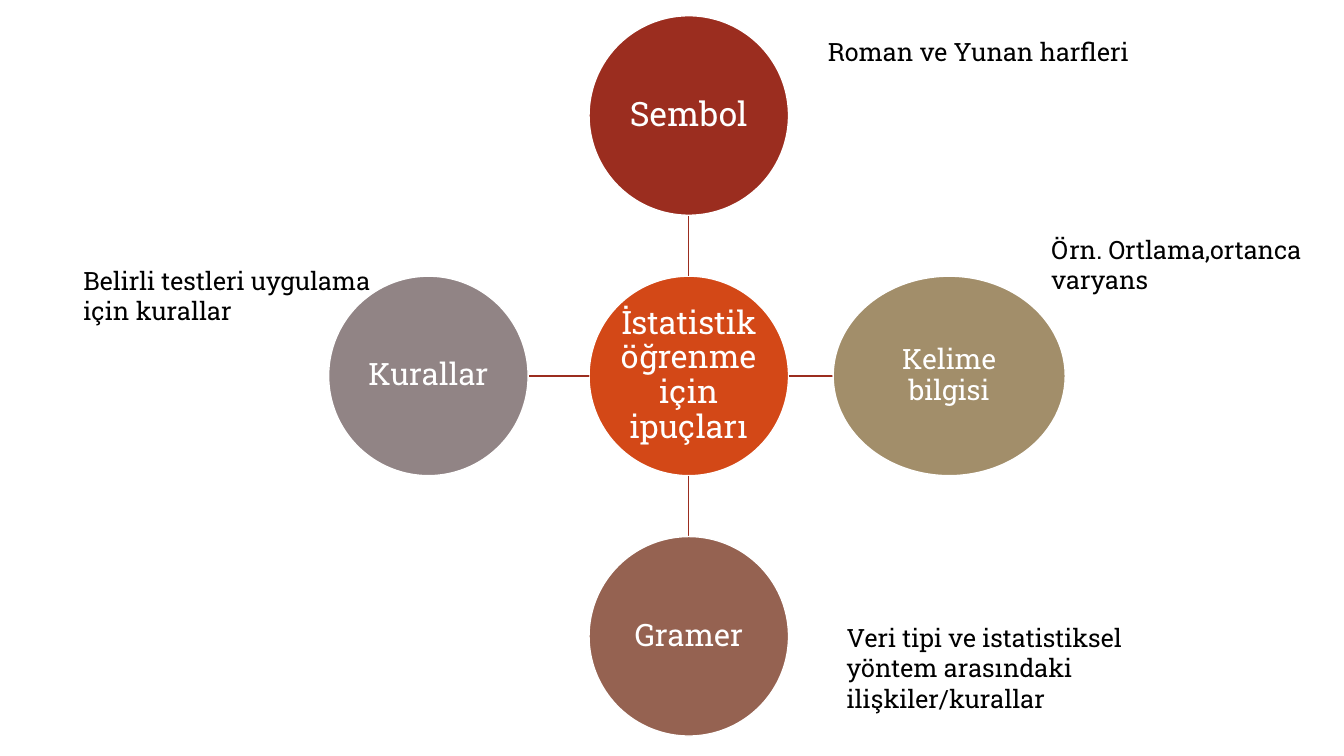
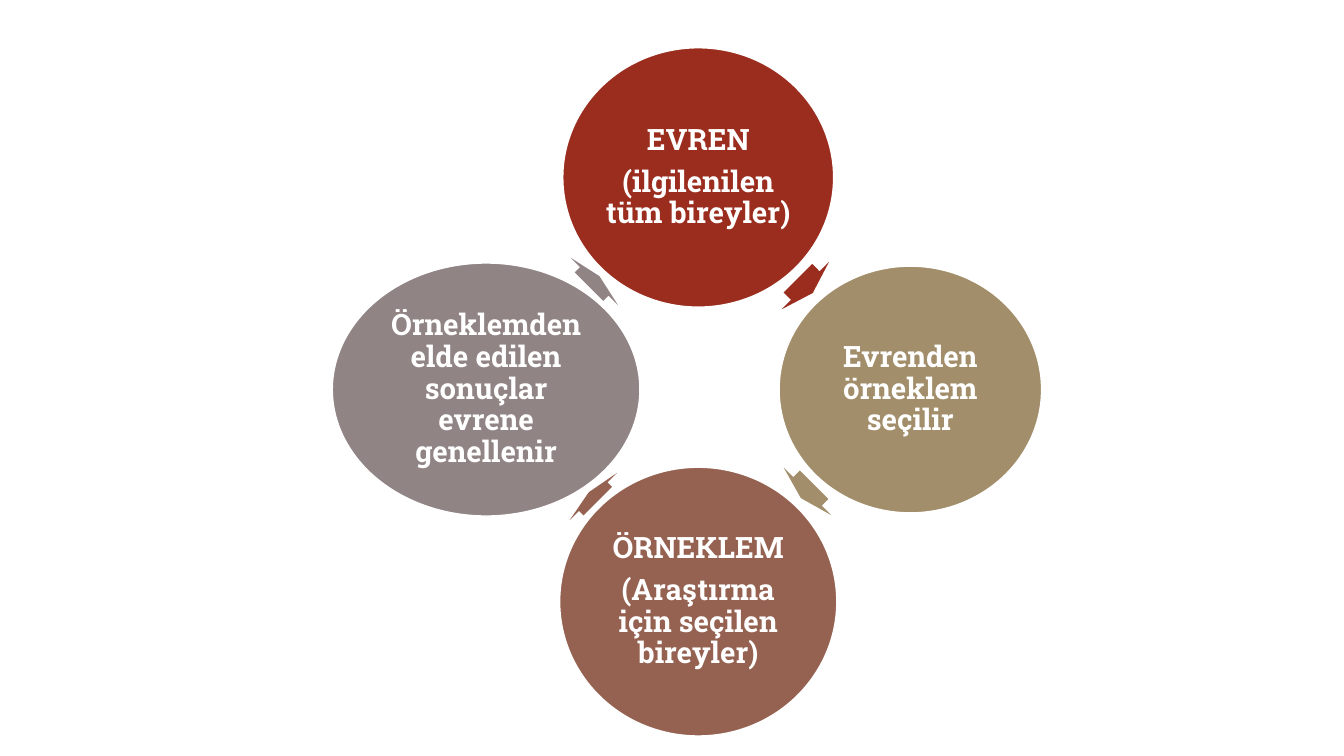
from lxml.etree import SubElement
from pptx import Presentation
from pptx.dml.color import RGBColor
from pptx.enum.shapes import MSO_CONNECTOR, MSO_SHAPE
from pptx.enum.text import MSO_ANCHOR, MSO_AUTO_SIZE, PP_ALIGN
from pptx.oxml.ns import qn
from pptx.util import Emu, Pt

FONT = "Roboto Slab"
WHITE, BLACK = "FFFFFF", "000000"
ORANGE, RED, TAN, BROWN, GREY = "D34817", "9B2D1F", "A28E6A", "956251", "918485"
# Unit steps from the centre: up, right, down, left
DIRECTIONS = [(0, -1), (1, 0), (0, 1), (-1, 0)]


def px(n):
    """Length in px (96 to the inch) as EMU."""
    return Emu(round(n * 9525))


def rgb(value):
    return RGBColor.from_string(value)


def set_attrs(obj, values):
    for name, value in values.items():
        setattr(obj, name, value)


def write(tf, paragraphs, color, font, para=None):
    for i, text in enumerate(paragraphs):
        p = tf.paragraphs[0] if i == 0 else tf.add_paragraph()
        set_attrs(p, para or {})
        r = p.add_run()
        r.text = text
        set_attrs(r.font, {"name": FONT, **font})
        r.font.color.rgb = rgb(color)


def add_filled(slide, kind, center, size, fill):
    """Preset shape placed by its centre."""
    (cx, cy), (w, h) = center, size
    sp = slide.shapes.add_shape(kind, px(cx - w / 2), px(cy - h / 2), px(w), px(h))
    sp.shadow.inherit = False
    sp.fill.solid()
    sp.fill.fore_color.rgb = rgb(fill)
    sp.line.fill.background()
    return sp


def add_bubble(slide, center, size, fill, paragraphs, pt, bold=False, inset=2):
    sp = add_filled(slide, MSO_SHAPE.OVAL, center, size, fill)
    sp.line.color.rgb = rgb(WHITE)
    sp.line.width = Pt(1)
    tf = sp.text_frame
    margins = ("margin_left", "margin_top", "margin_right", "margin_bottom")
    set_attrs(tf, {"word_wrap": True, "vertical_anchor": MSO_ANCHOR.MIDDLE,
                   **dict.fromkeys(margins, px(inset))})
    write(tf, paragraphs, WHITE, {"size": Pt(pt), "bold": bold},
          {"alignment": PP_ALIGN.CENTER, "line_spacing": 0.9,
           "space_after": Pt(round(pt * 0.35, 1))})


def add_spoke(slide, start, end):
    line = slide.shapes.add_connector(MSO_CONNECTOR.STRAIGHT, *map(px, start + end))
    line.line.color.rgb = rgb(RED)
    line.line.width = Pt(1)
    SubElement(line._element.spPr, qn("a:effectLst"))


def add_label(slide, box, text):
    tf = slide.shapes.add_textbox(*map(px, box)).text_frame
    set_attrs(tf, {"word_wrap": True, "auto_size": MSO_AUTO_SIZE.SHAPE_TO_FIT_TEXT})
    write(tf, [text], BLACK, {"size": Pt(18)})


def add_hub(slide, center, pitch, dia, hub, nodes):
    """Centre circle with four nodes, each joined by a spoke."""
    cx, cy = center
    text, pt = hub
    add_bubble(slide, center, (dia, dia), ORANGE, [text], pt)
    for (dx, dy), (text, pt, fill, width, inset) in zip(DIRECTIONS, nodes):
        reach = pitch - (width if dx else dia) / 2
        add_spoke(slide, (cx + dx * dia / 2, cy + dy * dia / 2),
                  (cx + dx * reach, cy + dy * reach))
        add_bubble(slide, (cx + dx * pitch, cy + dy * pitch), (width, dia),
                   fill, [text], pt, inset=inset)


def add_cycle(slide, center, radius, steps):
    """Four bubbles in a ring, each followed by an arrow in its colour."""
    cx, cy = center
    for i, (paragraphs, fill, size, offset, thickness) in enumerate(steps):
        dx, dy = DIRECTIONS[i]
        add_bubble(slide, (cx + dx * radius, cy + dy * radius), size, fill,
                   paragraphs, 21, bold=True, inset=3)
        ox, oy = offset
        arrow = add_filled(slide, MSO_SHAPE.RIGHT_ARROW, (cx + ox, cy + oy),
                           (thickness, 64), fill)
        arrow.rotation = 45 + 90 * i
        arrow.adjustments[0], arrow.adjustments[1] = 0.6, 0.5


def build_tips(slide):
    # Hub: text, size, fill, width, inset of each node
    add_hub(slide, (656, 358), 248, 190, ("İstatistik öğrenme için ipuçları", 23), [
        ("Sembol", 24, RED, 190, 2),
        ("Kelime bilgisi", 20, TAN, 221, 1),
        ("Gramer", 22, BROWN, 190, 2),
        ("Kurallar", 22, GREY, 190, 2),
    ])
    # Labels beside the nodes
    for box, text in [
        ((779, 30, 328, 38), "Roman ve Yunan harfleri"),
        ((992, 218, 266, 68), "Örn. Ortlama,ortanca varyans"),
        ((797, 588, 328, 97),
         "Veri tipi ve istatistiksel yöntem arasındaki ilişkiler/kurallar"),
        ((70, 248, 328, 68), "Belirli testleri uygulama için kurallar"),
    ]:
        add_label(slide, box, text)


def build_sampling(slide):
    # Cycle: text, fill, size, arrow offset from the centre, arrow thickness
    add_cycle(slide, (665, 371), 202, [
        (["EVREN", "(ilgilenilen tüm bireyler)"], RED, (258, 247), (102, -99), 20),
        (["Evrenden örneklem seçilir"], TAN, (250, 235), (104, 97), 18),
        (["ÖRNEKLEM", "(Araştırma için seçilen bireyler)"], BROWN,
         (264, 256), (-100, 102), 12),
        (["Örneklemden elde edilen sonuçlar evrene genellenir"], GREY,
         (293, 241), (-99, -103), 14),
    ])


def main():
    prs = Presentation()
    prs.slide_width, prs.slide_height = px(1280), px(720)
    for build in (build_tips, build_sampling):
        build(prs.slides.add_slide(prs.slide_layouts[6]))
    prs.save("out.pptx")


if __name__ == "__main__":
    main()
